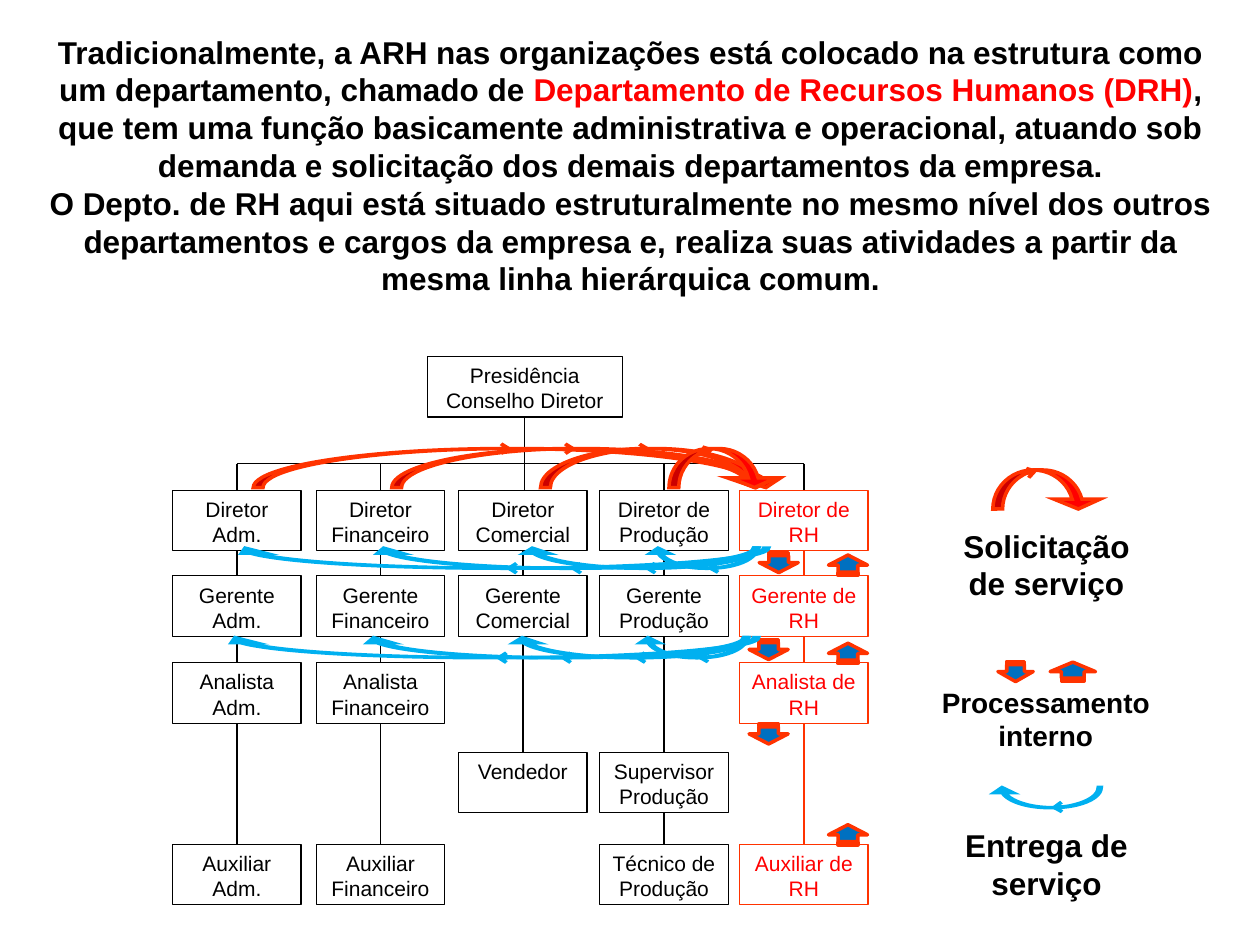
import dataclasses
import itertools

import pptx
import pptx.dml.color
import pptx.enum.shapes
import pptx.enum.text
import pptx.oxml
import pptx.oxml.ns
import pptx.util

EMU_PER_PX = 9144
BLACK, WHITE = "000000", "FFFFFF"
RED, ORANGE = "FF0000", "FF3300"
BLUE, SKY = "0070C0", "00B0F0"
SHAPES = pptx.enum.shapes.MSO_SHAPE
BOX_W, BOX_H = 102, 48
BUS_Y = 368
LEVEL_TOPS = {"diretor": 389, "gerente": 457, "analista": 526,
              "operação": 597, "auxiliar": 670}


@dataclasses.dataclass(frozen=True)
class Department:
    left: int
    titles: dict[str, str]
    line: str = BLACK
    text: str = BLACK


@dataclasses.dataclass(frozen=True)
class Arrow:
    left: int
    top: int
    width: int
    height: int
    adjustments: tuple[float, ...] = ()


@dataclasses.dataclass(frozen=True)
class Caption:
    text: str
    left: int
    top: int
    width: int
    height: int
    size: int


DEPARTMENTS = [
    Department(137, {"diretor": "Diretor Adm.", "gerente": "Gerente\nAdm.",
                     "analista": "Analista\nAdm.", "auxiliar": "Auxiliar\nAdm."}),
    Department(251, {"diretor": "Diretor Financeiro", "gerente": "Gerente Financeiro",
                     "analista": "Analista Financeiro", "auxiliar": "Auxiliar Financeiro"}),
    Department(364, {"diretor": "Diretor Comercial", "gerente": "Gerente Comercial",
                     "operação": "Vendedor"}),
    Department(476, {"diretor": "Diretor de Produção", "gerente": "Gerente Produção",
                     "operação": "Supervisor Produção", "auxiliar": "Técnico de Produção"}),
    Department(587, {"diretor": "Diretor de RH", "gerente": "Gerente de RH",
                     "analista": "Analista de RH", "auxiliar": "Auxiliar de RH"}, ORANGE, RED),
]
COMMERCIAL = DEPARTMENTS[2]

WIDE, NARROW = (0.252, 1.176, 0.25), (0.154, 0.898, 0.25)
REQUEST = (0.251, 1.169, 0.25)
REQUESTS = [Arrow(left, top, width, 31, REQUEST) for left, top, width in
            [(201, 356, 425), (311, 356, 307), (429, 356, 189), (531, 356, 86), (788, 373, 86)]]
DELIVERY_SPANS = [(0, 425, WIDE), (110, 307, WIDE), (228, 189, WIDE), (330, 86, NARROW)]
DELIVERIES = [Arrow(start + offset, top, width, 16, bend)
              for start, top in [(185, 435), (177, 506)]
              for offset, width, bend in DELIVERY_SPANS] + [Arrow(788, 625, 86, 16, NARROW)]
DOWNWARD = [Arrow(left, top, 16, 31) for left, top in
            [(602, 500), (602, 567), (610, 431)]] + [Arrow(798, 519, 16, 28)]
UPWARD = [Arrow(665, top, 16, 31) for top in (647, 503, 433)] + [Arrow(844, 515, 15, 36)]

CAPTIONS = [
    Caption("Solicitação de serviço", 748, 413, 165, 70, 18),
    Caption("Entrega de serviço", 748, 651, 165, 70, 18),
    Caption("Processamento interno", 720, 539, 220, 63, 16),
]
INTRO = [
    [("Tradicionalmente, a ARH nas organizações está colocado na estrutura como um "
      "departamento, chamado de ", BLACK),
     ("Departamento de Recursos Humanos (DRH)", RED),
     (", que tem uma função basicamente administrativa e operacional, atuando sob "
      "demanda e solicitação dos demais departamentos da empresa.", BLACK)],
    [("O Depto. de RH aqui está situado estruturalmente no mesmo nível dos outros "
      "departamentos e cargos da empresa e, realiza suas atividades a partir da mesma "
      "linha hierárquica comum.", BLACK)],
]


def px(*lengths: int) -> list[int]:
    return [length * EMU_PER_PX for length in lengths]


def rgb(code: str) -> pptx.dml.color.RGBColor:
    return pptx.dml.color.RGBColor.from_string(code)


def apply(target, values: dict) -> None:
    for name, value in values.items():
        setattr(target, name, value)


def plain(text: str, color: str) -> list:
    return [[(line, color)] for line in text.split("\n")]


def write(frame, paragraphs: list, size: int, bold: bool = False, inset: int = 10) -> None:
    side, edge = px(inset, 5)
    apply(frame, {"word_wrap": True, "vertical_anchor": pptx.enum.text.MSO_ANCHOR.TOP,
                  "margin_left": side, "margin_right": side,
                  "margin_top": edge, "margin_bottom": edge})
    for index, runs in enumerate(paragraphs):
        paragraph = frame.add_paragraph() if index else frame.paragraphs[0]
        paragraph.alignment = pptx.enum.text.PP_ALIGN.CENTER
        for text, color in runs:
            run = paragraph.add_run()
            run.text = text
            apply(run.font, {"name": "Arial", "size": pptx.util.Pt(size), "bold": bold})
            run.font.color.rgb = rgb(color)


def add_outlined(slide, kind, bounds: tuple, fill: str, line: str, weight: float):
    outlined = slide.shapes.add_shape(kind, *px(*bounds))
    outlined.shadow.inherit = False
    outlined.fill.solid()
    outlined.fill.fore_color.rgb = rgb(fill)
    outlined.line.color.rgb = rgb(line)
    outlined.line.width = pptx.util.Pt(weight)
    return outlined


def add_box(slide, bounds: tuple, text: str, line: str = BLACK, color: str = BLACK):
    box = add_outlined(slide, SHAPES.RECTANGLE, bounds, WHITE, line, 0.75)
    write(box.text_frame, plain(text, color), 12, inset=9)
    return box


def add_line(slide, start: tuple, end: tuple, color: str = BLACK):
    link = slide.shapes.add_connector(pptx.enum.shapes.MSO_CONNECTOR.STRAIGHT, *start, *end)
    link.line.color.rgb = rgb(color)
    link.line.width = pptx.util.Pt(0.75)
    link._element.spPr.append(pptx.oxml.parse_xml(
        f'<a:effectLst {pptx.oxml.ns.nsdecls("a")}/>'))
    return link


def add_arrow(slide, kind, arrow: Arrow, fill: str, line: str, rotation: int):
    bounds = (arrow.left, arrow.top, arrow.width, arrow.height)
    drawn = add_outlined(slide, kind, bounds, fill, line, 2)
    drawn.rotation = rotation
    for index, value in enumerate(arrow.adjustments):
        drawn.adjustments[index] = value
    return drawn


def add_curve(slide, arrow: Arrow, fill: str, line: str, rotation: int) -> None:
    curve = add_arrow(slide, SHAPES.CURVED_DOWN_ARROW, arrow, fill, line, rotation)
    for tag in ('miter {} lim="800000"', 'headEnd {} type="arrow"'):
        element = tag.format(pptx.oxml.ns.nsdecls("a"))
        curve.line._get_or_add_ln().append(pptx.oxml.parse_xml(f"<a:{element}/>"))


def center(box) -> int:
    return box.left + box.width // 2


def add_chart_of_roles(slide) -> None:
    presidency = add_box(slide, (339, 283, 155, BOX_H), "Presidência\nConselho Diretor")
    columns = [[add_box(slide, (department.left, LEVEL_TOPS[level], BOX_W, BOX_H),
                        title, department.line, department.text)
                for level, title in department.titles.items()]
               for department in DEPARTMENTS]
    bus_y, = px(BUS_Y)
    add_line(slide, (center(columns[0][0]), bus_y), (center(columns[-1][0]), bus_y))
    trunk_x = center(presidency)
    trunk = add_line(slide, (trunk_x, bus_y), (trunk_x, columns[2][0].top))
    trunk.begin_connect(presidency, 2)
    for department, boxes in zip(DEPARTMENTS, columns):
        if department is not COMMERCIAL:
            director = boxes[0]
            drop = add_line(slide, (center(director), bus_y), (center(director), director.top))
            drop.end_connect(director, 0)
        for upper, lower in itertools.pairwise(boxes):
            link = add_line(slide, (0, 0), (0, 0), department.line)
            link.begin_connect(upper, 2)
            link.end_connect(lower, 0)


def main() -> None:
    deck = pptx.Presentation()
    deck.slide_width, deck.slide_height = px(1000, 750)
    slide = deck.slides.add_slide(deck.slide_layouts[6])
    intro = slide.shapes.add_textbox(*px(20, 21, 961, 244))
    write(intro.text_frame, INTRO, 18, True)
    add_chart_of_roles(slide)
    for arrow in REQUESTS:
        add_curve(slide, arrow, RED, ORANGE, 0)
    for arrows, rotation in [(DOWNWARD, 90), (UPWARD, 270)]:
        for arrow in arrows:
            add_arrow(slide, SHAPES.STRIPED_RIGHT_ARROW, arrow, BLUE, ORANGE, rotation)
    for arrow in DELIVERIES:
        add_curve(slide, arrow, SKY, SKY, 180)
    for caption in CAPTIONS:
        bounds = px(caption.left, caption.top, caption.width, caption.height)
        label = slide.shapes.add_textbox(*bounds)
        write(label.text_frame, plain(caption.text, BLACK), caption.size, True)
    deck.save("out.pptx")


if __name__ == "__main__":
    main()
